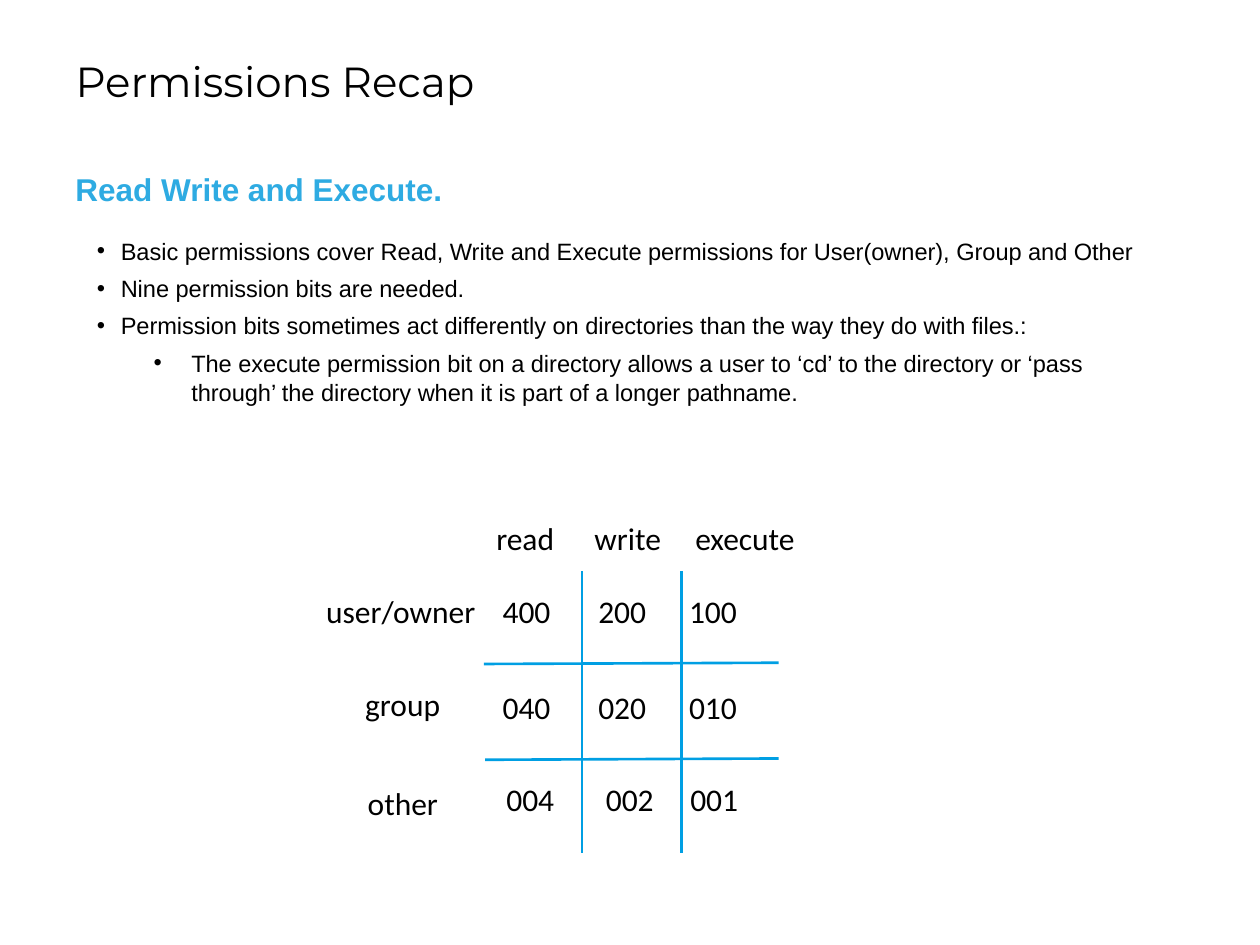
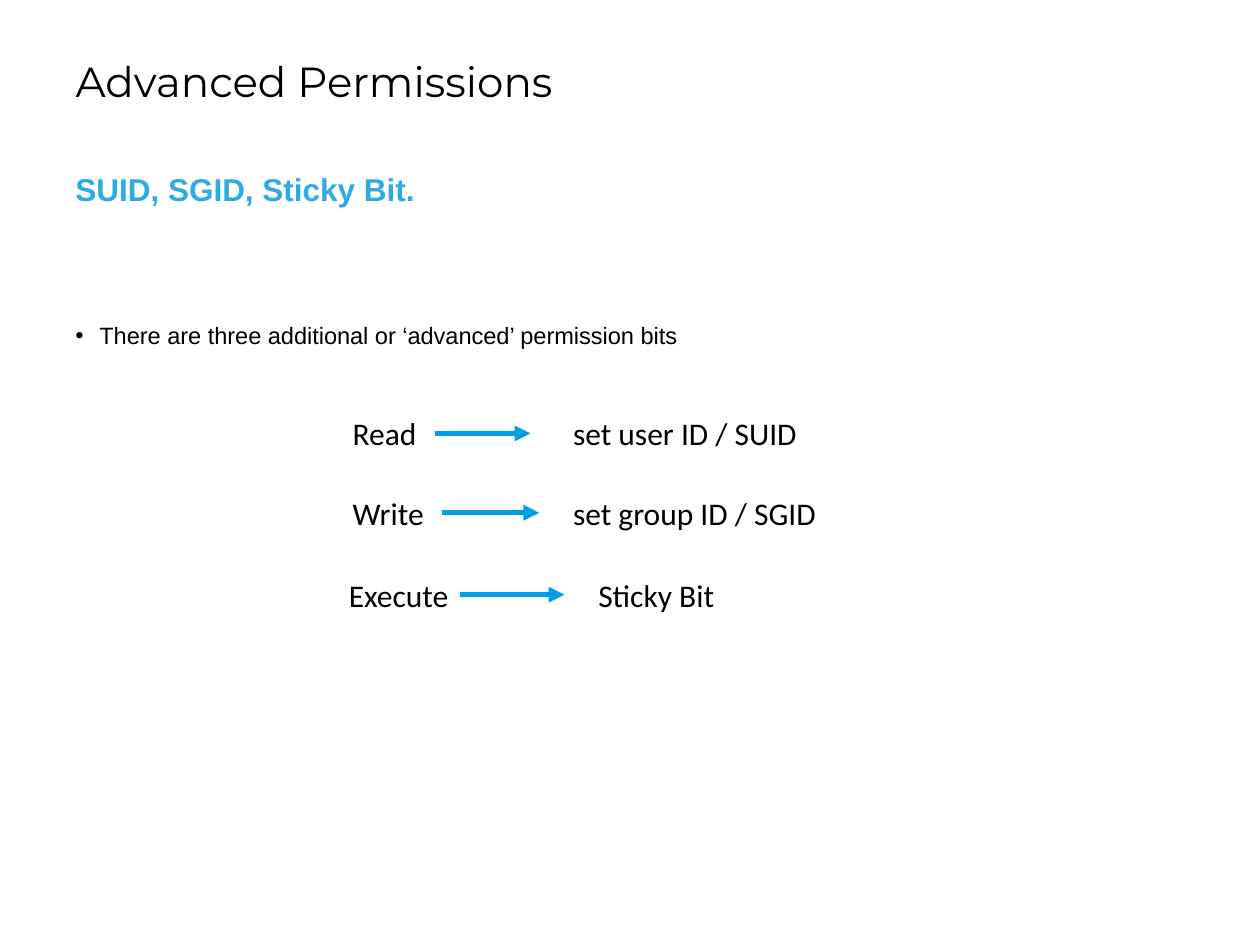
from lxml import etree
from pptx import Presentation
from pptx.dml.color import RGBColor
from pptx.enum.shapes import MSO_CONNECTOR
from pptx.enum.text import MSO_ANCHOR, PP_ALIGN
from pptx.oxml.ns import qn
from pptx.util import Inches, Pt

BLACK = RGBColor(0x00, 0x00, 0x00)
HEADING_BLUE = RGBColor(0x2E, 0xAB, 0xE2)
LINE_BLUE = RGBColor(0x00, 0x9F, 0xE3)
TITLE_FONT, BODY_FONT, LABEL_FONT = "Montserrat", "Arial", "Calibri"
STRAIGHT = MSO_CONNECTOR.STRAIGHT
LEFT, TOP = PP_ALIGN.LEFT, MSO_ANCHOR.TOP
TITLE_ONLY = 5
LABEL_HEIGHT = 0.4
# Left margin and first-line indent of each bullet level
BULLET_INDENTS = [(0.19, -0.19), (0.75, -0.3)]


class Deck:
    def __init__(self):
        self.prs = Presentation()
        self.prs.slide_width = Inches(10)
        self.prs.slide_height = Inches(7.5)
        self.s = None

    def add_slide(self, title, heading):
        self.s = self.prs.slides.add_slide(self.prs.slide_layouts[TITLE_ONLY])
        sp = self.s.shapes.title
        sp.left, sp.top = Inches(0.5), Inches(0.39)
        sp.width, sp.height = Inches(9.02), Inches(0.5)
        tf = sp.text_frame
        tf.vertical_anchor = TOP
        tf.paragraphs[0].alignment = LEFT
        self.run(tf.paragraphs[0], title, TITLE_FONT, 24)
        p = self.text_frame(0.5, 1.3, 9.02, 0.4).paragraphs[0]
        self.run(p, heading, BODY_FONT, 18, HEADING_BLUE, bold=True)

    def text_frame(self, left, top, width, height):
        sp = self.s.shapes.add_textbox(Inches(left), Inches(top),
                                       Inches(width), Inches(height))
        tf = sp.text_frame
        tf.word_wrap = True
        return tf

    def run(self, p, text, font, size, color=BLACK, bold=False):
        r = p.add_run()
        r.text = text
        r.font.name = font
        r.font.size = Pt(size)
        r.font.color.rgb = color
        r.font.bold = bold

    def label(self, text, left, top, width):
        p = self.text_frame(left, top, width, LABEL_HEIGHT).paragraphs[0]
        self.run(p, text, LABEL_FONT, 18)

    def bullets(self, items, left, top, height):
        """Write (level, text) items as one bulleted list."""
        tf = self.text_frame(left, top, 8.49, height)
        for i, (level, text) in enumerate(items):
            p = tf.add_paragraph() if i else tf.paragraphs[0]
            p.level = level
            p.line_spacing = 1.04
            p.space_after = Pt(4.5)
            margin, indent = BULLET_INDENTS[level]
            pPr = p._p.get_or_add_pPr()
            pPr.set("marL", str(Inches(margin)))
            pPr.set("indent", str(Inches(indent)))
            etree.SubElement(pPr, qn("a:buFont")).set("typeface", BODY_FONT)
            etree.SubElement(pPr, qn("a:buChar")).set("char", "•")
            self.run(p, text, BODY_FONT, 13.5)

    def line(self, x1, y1, x2, y2, width=1.5, arrow=False):
        cxn = self.s.shapes.add_connector(STRAIGHT, Inches(x1), Inches(y1),
                                          Inches(x2), Inches(y2))
        cxn.line.color.rgb = LINE_BLUE
        cxn.line.width = Pt(width)
        if arrow:
            ln = cxn.line._get_or_add_ln()
            etree.SubElement(ln, qn("a:tailEnd")).set("type", "triangle")
        etree.SubElement(cxn._element.spPr, qn("a:effectLst"))


def permissions_recap(deck):
    deck.add_slide("Permissions Recap", "Read Write and Execute.")
    deck.bullets([
        (0, "Basic permissions cover Read, Write and Execute permissions "
            "for User(owner), Group and Other"),
        (0, "Nine permission bits are needed."),
        (0, "Permission bits sometimes act differently on directories "
            "than the way they do with files.:"),
        (1, "The execute permission bit on a directory allows a user to ‘cd’ "
            "to the directory or ‘pass through’ the directory when it is part "
            "of a longer pathname."),
    ], 0.67, 1.82, 1.45)

    for name, left, width in [("read", 3.84, 0.69), ("write", 4.62, 0.77),
                              ("execute", 5.42, 1.04)]:
        deck.label(name, left, 4.07, width)
    for name, left, top, width in [("user/owner", 2.49, 4.65, 1.46),
                                   ("group", 2.8, 5.39, 0.84),
                                   ("other", 2.82, 6.17, 0.8)]:
        deck.label(name, left, top, width)

    upper_lefts, last_lefts = (3.89, 4.65, 5.37), (3.92, 4.71, 5.38)
    for top, lefts, bits in [(4.65, upper_lefts, ("400", "200", "100")),
                             (5.41, upper_lefts, ("040", "020", "010")),
                             (6.14, last_lefts, ("004", "002", "001"))]:
        for left, bit in zip(lefts, bits):
            deck.label(bit, left, top, 0.61)

    for x in (4.62, 5.41):
        deck.line(x, 6.77, x, 4.53)
    for x, y in [(3.84, 5.27), (3.85, 6.03)]:
        deck.line(x, y, 6.18, y - 0.01)


def advanced_permissions(deck):
    deck.add_slide("Advanced Permissions", "SUID, SGID, Sticky Bit.")
    deck.bullets([(0, "There are three additional or ‘advanced’ "
                      "permission bits")], 0.5, 2.49, 0.63)
    for top, bit, bit_left, arrow_start, arrow_end, meaning, meaning_left in [
            (3.24, "Read", 2.7, 3.45, 4.21, "set user ID / SUID", 4.45),
            (3.87, "Write", 2.7, 3.51, 4.28, "set group ID / SGID", 4.45),
            (4.52, "Execute", 2.67, 3.65, 4.48, "Sticky Bit", 4.65)]:
        deck.label(bit, bit_left, top, 1.08)
        deck.label(meaning, meaning_left, top, 2.2)
        y = top + LABEL_HEIGHT / 2
        deck.line(arrow_start, y, arrow_end, y, width=3, arrow=True)


def main():
    deck = Deck()
    permissions_recap(deck)
    advanced_permissions(deck)
    deck.prs.save("out.pptx")


if __name__ == "__main__":
    main()
